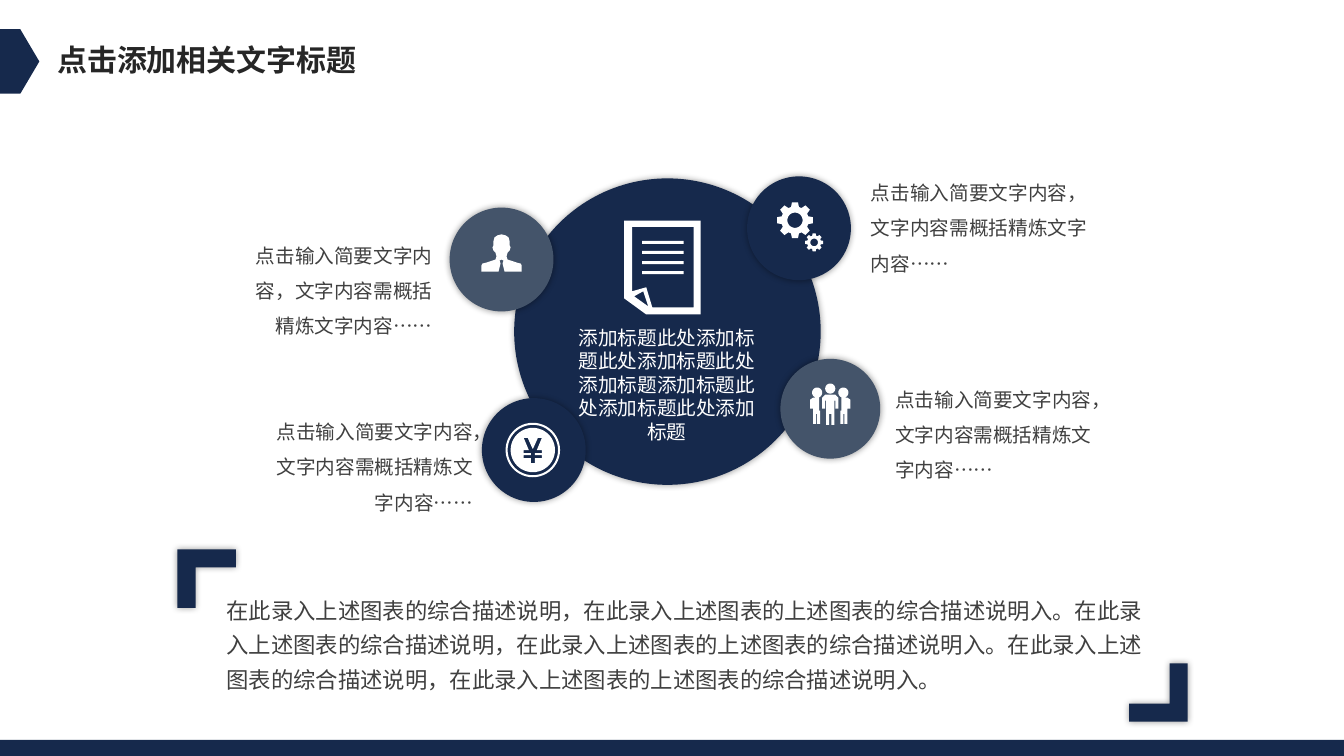
from math import cos, pi, sin

from lxml.etree import SubElement
from pptx import Presentation
from pptx.dml.color import RGBColor
from pptx.enum.shapes import MSO_SHAPE
from pptx.enum.text import MSO_AUTO_SIZE, PP_ALIGN
from pptx.oxml.ns import qn
from pptx.util import Inches, Pt

NAVY, SLATE, WHITE = "16294C", "44546A", "FFFFFF"
BODY, HEADING = "404040", "262626"
FONT = "Noto Sans CJK SC"


def colour(value):
    return RGBColor.from_string(value)


def paint(shape, fill, shadow=False):
    shape.fill.solid()
    shape.fill.fore_color.rgb = colour(fill)
    shape.line.fill.background()
    shape.shadow.inherit = False
    if shadow:
        effects = shape._element.spPr.find(qn("a:effectLst"))
        outer = SubElement(effects, qn("a:outerShdw"), blurRad=str(Pt(5)), dist="0",
                           dir="0", algn="ctr", rotWithShape="0")
        black = SubElement(outer, qn("a:srgbClr"), val="000000")
        SubElement(black, qn("a:alpha"), val="40000")


def add_preset(shapes, kind, box, fill, shadow=False):
    shape = shapes.add_shape(kind, *map(Inches, box))
    paint(shape, fill, shadow)
    return shape


def add_outline(shapes, contours, x, y, fill, shadow=False):
    """Draw contours around the point (x, y); inner contours become holes."""
    placed = [[(Inches(x + dx), Inches(y + dy)) for dx, dy in contour]
              for contour in contours]
    builder = shapes.build_freeform(*placed[0][0])
    for index, contour in enumerate(placed):
        if index:
            builder.move_to(*contour[0])
        builder.add_line_segments(contour[1:], close=True)
    paint(builder.convert_to_shape(), fill, shadow)


def add_text(shapes, box, text, size, ink, align=PP_ALIGN.LEFT, spacing=1.0,
             bold=False, wrap=True):
    frame = shapes.add_textbox(*map(Inches, box)).text_frame
    frame.word_wrap = wrap
    frame.auto_size = MSO_AUTO_SIZE.SHAPE_TO_FIT_TEXT
    para = frame.paragraphs[0]
    para.alignment = align
    para.line_spacing = spacing
    span = para.add_run()
    span.text = text
    span.font.size = Pt(size)
    span.font.bold = bold
    span.font.color.rgb = colour(ink)
    span.font.name = FONT
    SubElement(span.font._element, qn("a:ea"), typeface=FONT)


# Contours, in inches from the centre of the circle that holds them
def polar(radius, angle, x=0, y=0):
    return x + radius * sin(angle), y - radius * cos(angle)


def ring(radius, x=0, y=0, steps=48):
    return [polar(radius, 2 * pi * step / steps, x, y) for step in range(steps)]


def rectangle(left, top, right, bottom):
    return [(left, top), (right, top), (right, bottom), (left, bottom)]


def mirrored(half):
    return half + [(-x, y) for x, y in reversed(half)]


def shifted(contour, x, y):
    return [(px + x, py + y) for px, py in contour]


def gear(radius, x, y, teeth=8):
    profile = [(-0.29, 0.76), (-0.17, 1), (0.17, 1), (0.29, 0.76)]
    rim = [polar(radius * reach, 2 * pi * tooth / teeth + turn, x, y)
           for tooth in range(teeth) for turn, reach in profile]
    return [rim, ring(radius * 0.42, x, y)]


def document_icon():
    page_edge = [(0, 0), (0.76, 0), (0.76, 0.93), (0.22, 0.93), (0, 0.77)]
    inside = [(0.08, 0.06), (0.69, 0.06), (0.69, 0.86), (0.28, 0.86),
              (0.22, 0.66), (0.08, 0.7)]
    fold = [(0.24, 0.85), (0.19, 0.7), (0.1, 0.75)]
    lines = [rectangle(0.18, 0.2 + 0.1 * row, 0.59, 0.23 + 0.1 * row)
             for row in range(4)]
    return [[shifted(part, -0.43, -1.1) for part in [page_edge, inside, fold] + lines]]


def person_icon():
    half = [(0, 0), (0.04, 0.01), (0.07, 0.03), (0.08, 0.07), (0.08, 0.11),
            (0.09, 0.13), (0.08, 0.16), (0.06, 0.18), (0.05, 0.22), (0.06, 0.25),
            (0.09, 0.26), (0.15, 0.28), (0.19, 0.29), (0.2, 0.31), (0.2, 0.37),
            (0.03, 0.37), (0.01, 0.29), (0.02, 0.26), (0, 0.25)]
    return [[shifted(mirrored(half), 0, -0.25)]]


def gears_icon():
    return [gear(0.18, -0.04, -0.08), gear(0.09, 0.15, 0.14)]


def coin_icon():
    yen = [(0, -0.01), (0.01, -0.03), (0.05, -0.12), (0.09, -0.12), (0.04, 0),
           (0.09, 0), (0.09, 0.03), (0.02, 0.03), (0.02, 0.05), (0.09, 0.05),
           (0.09, 0.08), (0.02, 0.08), (0.02, 0.13)]
    x, y = -0.01, 0
    return [[ring(0.27, x, y), ring(0.25, x, y)],
            [ring(0.22, x, y), shifted(mirrored(yen), x, y)]]


def team_icon():
    leader = mirrored([(0.05, -0.14), (0.08, -0.11), (0.08, 0), (0.05, 0),
                       (0.05, -0.08), (0.04, -0.08), (0.04, 0.16), (0.01, 0.16),
                       (0.01, 0.05)])
    member = [(0.11, -0.11), (0.17, -0.11), (0.2, -0.09), (0.2, 0), (0.17, 0),
              (0.17, 0.15), (0.14, 0.15), (0.14, 0.05), (0.13, 0.05), (0.13, 0.15),
              (0.1, 0.15), (0.1, 0.02), (0.11, 0.02)]
    contours = [ring(0.05, 0, -0.2), leader]
    for side in (-1, 1):
        contours += [ring(0.05, side * 0.13, -0.16),
                     [(side * x, y) for x, y in member]]
    return [contours]


# A shadowed circle grouped with its icon
def add_badge(page, left, top, size, fill, icon):
    group = page.shapes.add_group_shape()
    add_preset(group.shapes, MSO_SHAPE.OVAL, (left, top, size, size), fill, True)
    for contours in icon:
        add_outline(group.shapes, contours, left + size / 2, top + size / 2, WHITE)
    return group


def add_hub(page, left, top, size):
    group = add_badge(page, left, top, size, NAVY, document_icon())
    text = "添加标题此处添加标题此处添加标题此处添加标题添加标题此处添加标题此处添加标题"
    add_text(group.shapes, (left + 0.45, top + 1.41, 2.13, 1.28), text, 14, WHITE,
             PP_ALIGN.CENTER)


def add_header(page, left, top):
    tag = add_preset(page.shapes, MSO_SHAPE.PENTAGON, (left, top, 0.39, 0.64), NAVY)
    tag.adjustments[0] = 0.484
    add_text(page.shapes, (left + 0.47, top + 0.07, 3.2, 0.46), "点击添加相关文字标题",
             21.4, HEADING, bold=True, wrap=False)


# Summary paragraph between two opposite corner brackets
def add_summary(page, left, top, width, height):
    arm, thick = 0.58, 0.18
    bracket = [(0, 0), (arm, 0), (arm, thick), (thick, thick), (thick, arm), (0, arm)]
    for x, y, sign in [(left, top, 1), (left + width, top + height, -1)]:
        corner = [(sign * dx, sign * dy) for dx, dy in bracket]
        add_outline(page.shapes, [corner], x, y, NAVY, True)
    lead = "在此录入上述图表的综合描述说明，在此录入上述图表的上述图表的综合描述说明入。"
    add_text(page.shapes, (left + 0.39, top + 0.34, width - 0.68, 1.15), lead * 3, 16,
             BODY, spacing=1.3)


def main():
    deck = Presentation()
    deck.slide_width, deck.slide_height = Inches(13.33), Inches(7.5)
    page = deck.slides.add_slide(deck.slide_layouts[6])

    # Captions beside the circles
    captions = [((2.25, 2.25, 2.14, 1.16), PP_ALIGN.RIGHT),
                ((2.57, 4, 2.22, 1.16), PP_ALIGN.RIGHT),
                ((8.54, 1.63, 2.45, 1.16), PP_ALIGN.LEFT),
                ((8.78, 3.68, 2.22, 1.16), PP_ALIGN.LEFT)]
    for box, align in captions:
        add_text(page.shapes, box, "点击输入简要文字内容，文字内容需概括精炼文字内容……",
                 14, BODY, align, 1.5)

    # Hub and the circles around it
    add_hub(page, 5.1, 1.77, 3.04)
    add_badge(page, 4.46, 2.06, 1.03, SLATE, person_icon())
    add_badge(page, 7.41, 1.75, 1.03, NAVY, gears_icon())
    add_badge(page, 4.78, 3.95, 1.03, NAVY, coin_icon())
    add_badge(page, 7.74, 3.56, 0.99, SLATE, team_icon())

    # Summary, header and footer band
    add_summary(page, 1.76, 5.45, 10.02, 1.71)
    add_header(page, 0, 0.29)
    add_preset(page.shapes, MSO_SHAPE.RECTANGLE, (0, 7.34, 13.33, 0.16), NAVY)
    deck.save("out.pptx")


if __name__ == "__main__":
    main()
